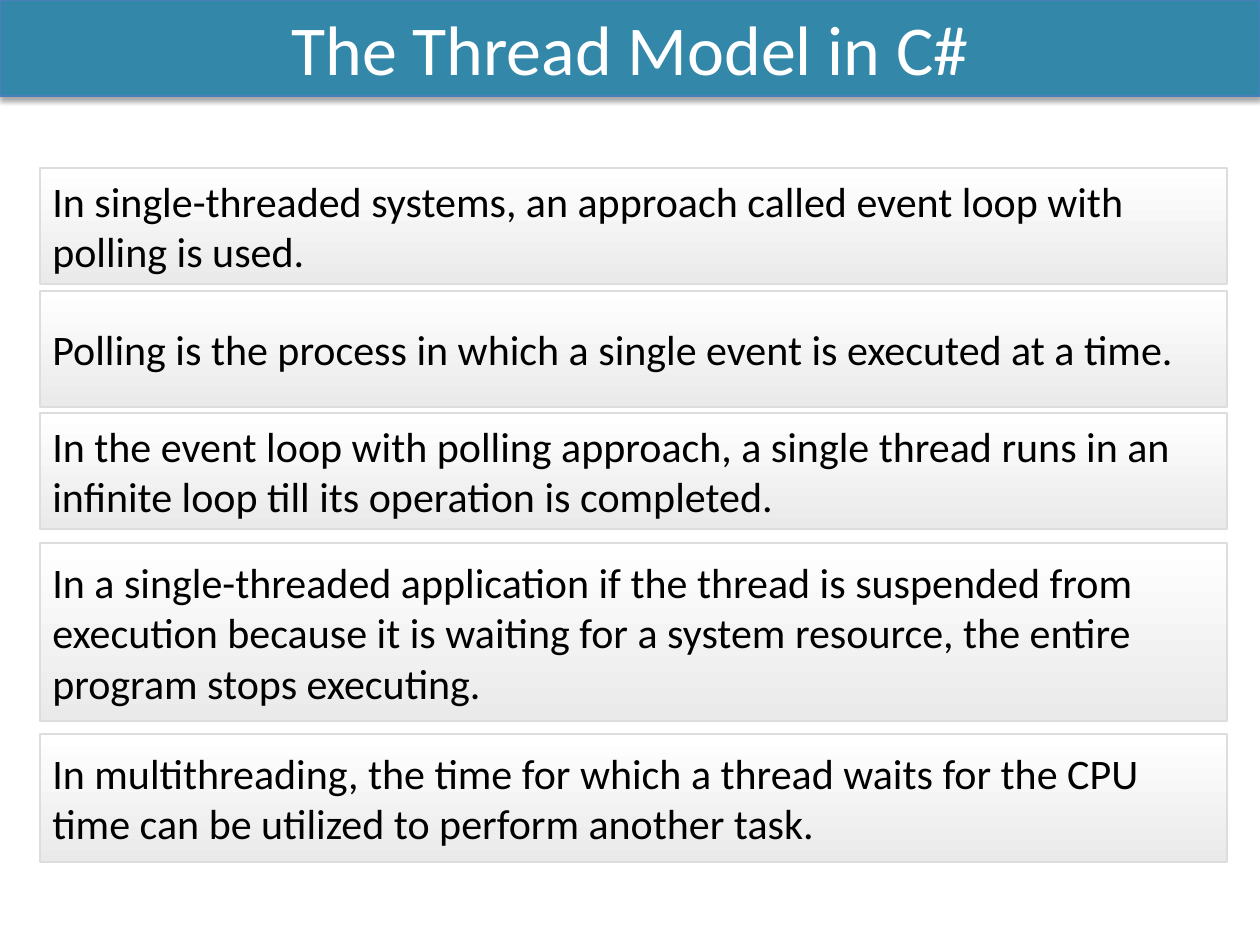
from lxml.etree import SubElement
from pptx import Presentation
from pptx.dml.color import RGBColor
from pptx.enum.shapes import MSO_SHAPE
from pptx.enum.text import MSO_ANCHOR, PP_ALIGN
from pptx.oxml.ns import qn
from pptx.util import Pt

PX = 914400 // 126
PAGE_WIDTH, PAGE_HEIGHT = 1260, 945
FONT = "Calibri"
COLORS = {
    "banner": "3388A9", "banner_line": "4B7EBC", "banner_text": "FFFFFF",
    "panel_top": "FFFFFF", "panel_bottom": "EAEAEA", "panel_line": "DDDDDD",
    "panel_text": "000000", "shadow": "000000",
}

TITLE = "The Thread Model in C#"
TITLE_HEIGHT = 96
PANEL_LEFT, PANEL_WIDTH = 40, 1187
# top, height, text
PANELS = [
    (168, 116, "In single-threaded systems, an approach called event loop with polling is used."),
    (291, 116, "Polling is the process in which a single event is executed at a time."),
    (413, 116, "In the event loop with polling approach, a single thread runs in an "
               "infinite loop till its operation is completed."),
    (543, 178, "In a single-threaded application if the thread is suspended from execution "
               "because it is waiting for a system resource, the entire program stops executing."),
    (734, 128, "In multithreading, the time for which a thread waits for the CPU time "
               "can be utilized to perform another task."),
]


def rgb(name):
    return RGBColor.from_string(COLORS[name])


def add_box(page, text, left, top, width, height, *, fills, line, line_width,
            color, size, align=PP_ALIGN.LEFT):
    """Add a rectangle with text; two fills make a top-to-bottom gradient."""
    box = page.shapes.add_shape(
        MSO_SHAPE.RECTANGLE, *(length * PX for length in (left, top, width, height)))
    box.shadow.inherit = False
    if len(fills) == 1:
        box.fill.solid()
        box.fill.fore_color.rgb = rgb(fills[0])
    else:
        box.fill.gradient()
        box.fill.gradient_angle = 270
        for stop, fill in zip(box.fill.gradient_stops, fills):
            stop.color.rgb = rgb(fill)
    box.line.color.rgb = rgb(line)
    box.line.width = Pt(line_width)

    frame = box.text_frame
    frame.word_wrap = True
    frame.vertical_anchor = MSO_ANCHOR.MIDDLE
    para = frame.paragraphs[0]
    para.alignment = align
    span = para.add_run()
    span.text = text
    span.font.name = FONT
    span.font.size = Pt(size)
    span.font.color.rgb = rgb(color)
    return box


def add_drop_shadow(box, blur, distance, opacity):
    effects = box.element.spPr.find(qn("a:effectLst"))
    shadow = SubElement(effects, qn("a:outerShdw"), blurRad=str(Pt(blur)),
                        dist=str(Pt(distance)), dir=str(90 * 60000), rotWithShape="0")
    color = SubElement(shadow, qn("a:srgbClr"), val=COLORS["shadow"])
    SubElement(color, qn("a:alpha"), val=str(opacity * 1000))


def main():
    deck = Presentation()
    deck.slide_width, deck.slide_height = PAGE_WIDTH * PX, PAGE_HEIGHT * PX
    page = deck.slides.add_slide(deck.slide_layouts[6])

    banner = add_box(page, TITLE, 0, 0, PAGE_WIDTH, TITLE_HEIGHT, fills=["banner"],
                     line="banner_line", line_width=0.75, color="banner_text",
                     size=40, align=PP_ALIGN.CENTER)
    add_drop_shadow(banner, blur=3.1, distance=1.8, opacity=35)

    for top, height, text in PANELS:
        add_box(page, text, PANEL_LEFT, top, PANEL_WIDTH, height,
                fills=["panel_top", "panel_bottom"], line="panel_line", line_width=1,
                color="panel_text", size=24)

    deck.save("out.pptx")


if __name__ == "__main__":
    main()
